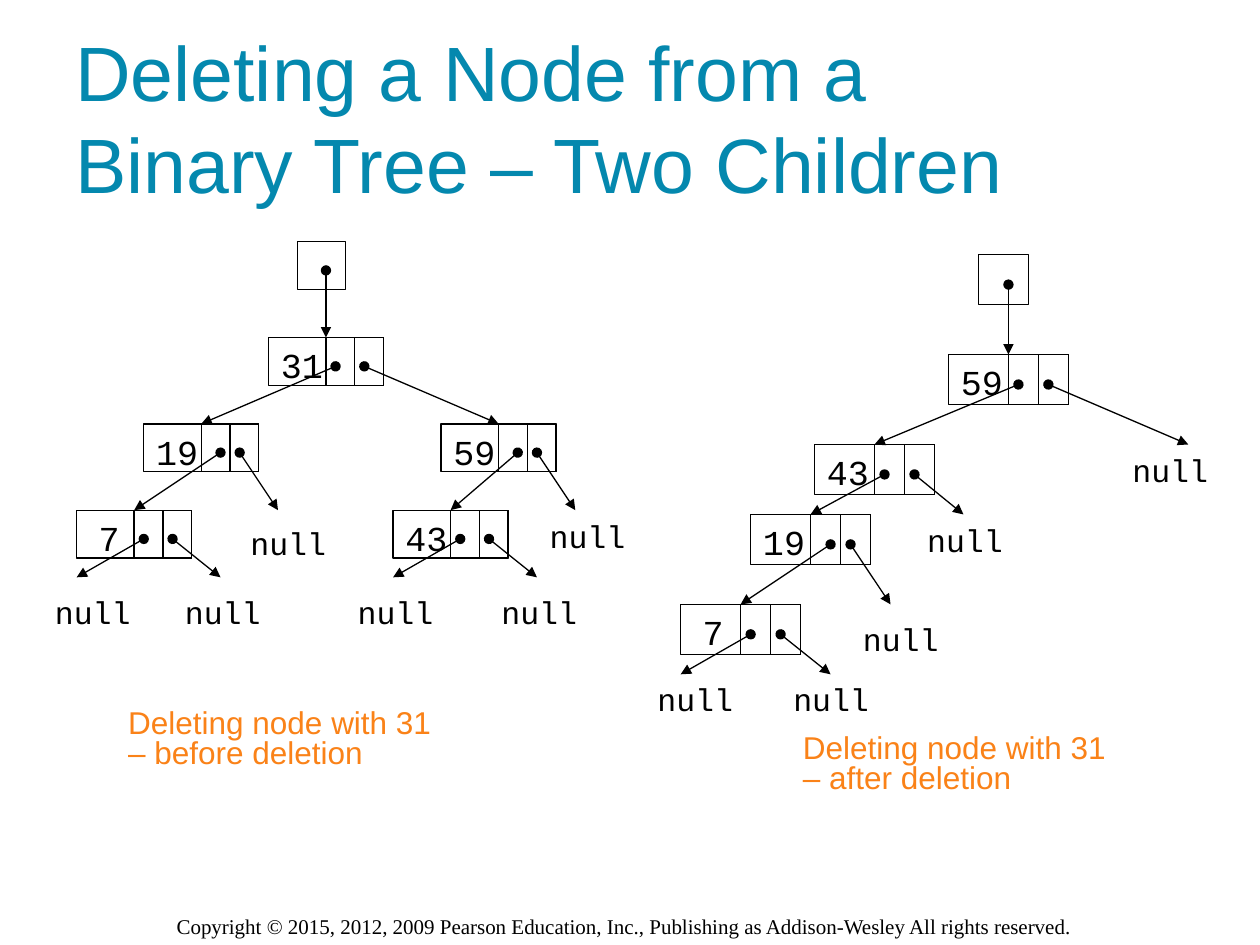
from dataclasses import dataclass

from lxml.etree import SubElement
from pptx import Presentation
from pptx.dml.color import RGBColor
from pptx.enum.shapes import MSO_CONNECTOR, MSO_SHAPE
from pptx.enum.text import MSO_ANCHOR, MSO_AUTO_SIZE
from pptx.oxml.ns import qn
from pptx.util import Pt


@dataclass(frozen=True)
class Theme:
    black: RGBColor = RGBColor(0, 0, 0)
    teal: RGBColor = RGBColor(0x04, 0x88, 0xAE)
    orange: RGBColor = RGBColor(0xFA, 0x82, 0x18)
    sans: str = "Arial"
    mono: str = "Courier New"
    serif: str = "Times New Roman"
    title_size: int = 44
    value_size: int = 20
    label_size: int = 18
    footer_size: int = 12
    line_width: float = 0.75


theme = Theme()


def add_text(shapes, text, left, top, width, height, font_name, size, color, wrap=True):
    box = shapes.add_textbox(Pt(left), Pt(top), Pt(width), Pt(height))
    box.text_frame.word_wrap = wrap
    box.text_frame.auto_size = MSO_AUTO_SIZE.SHAPE_TO_FIT_TEXT
    box.text_frame.text = text
    font = box.text_frame.paragraphs[0].font
    font.name, font.size, font.color.rgb = font_name, Pt(size), color
    return box


def add_pointer(shapes, start, end, target=None):
    """Draw an arrow with a dot at its start, joined to the top of the target if there is one."""
    arrow = shapes.add_connector(MSO_CONNECTOR.STRAIGHT, *(Pt(value) for value in start + end))
    if target is not None:
        arrow.end_connect(target, 0)
    arrow.line.color.rgb = theme.black
    arrow.line.width = Pt(theme.line_width)
    line = arrow.line._get_or_add_ln()
    SubElement(line, qn("a:headEnd"), type="oval")
    SubElement(line, qn("a:tailEnd"), type="triangle")
    SubElement(arrow._element.spPr, qn("a:effectLst"))


# Node positions and arrow ends are in grid units, measured from the top node.
# Each node: value -> (x, y, x of the left dot inside the node, left target, right target).
# A target is a child's value, or (end x, end y, label left, label top) for null,
# with the label placed in points.
trees = [
    dict(
        unit=5.48, left=153.4, top=192.9,
        nodes={
            "31": (0, 0, 7, "19", "59"),
            "19": (-13, 9, 8, "7", (1, 18, 136, 295.9)),
            "59": (18, 9, 8, "43", (32, 18, 307, 291.9)),
            "7": (-20, 18, 7, (-20, 25, 24.3, 335.5), (-5, 25, 98.6, 335.5)),
            "43": (13, 18, 7, (13, 25, 197.3, 335.5), (28, 25, 279.4, 335.5)),
        },
    ),
    dict(
        unit=5.71, left=542, top=202.6,
        nodes={
            "59": (0, 0, 7, "43", (24, 9, 640, 254.2)),
            "43": (-13.4, 9, 7, "19", (1.5, 16, 522.7, 294)),
            "19": (-19.8, 16, 8, "7", (-5.8, 25, 486, 350.6)),
            "7": (-26.8, 25, 7, (-26.8, 32, 368.6, 385.2), (-11.8, 32, 446.2, 385.2)),
        },
    ),
]

deck = Presentation()
deck.slide_width, deck.slide_height = Pt(720), Pt(540)
slide = deck.slides.add_slide(deck.slide_layouts[6])

add_text(
    slide.shapes,
    "Copyright © 2015, 2012, 2009 Pearson Education, Inc., "
    "Publishing as Addison-Wesley All rights reserved.",
    93.8, 518.4, 534.2, 21.6, theme.serif, theme.footer_size, theme.black,
)
title = add_text(
    slide.shapes, "Deleting a Node from a\vBinary Tree – Two Children",
    36, 21.6, 648, 90, theme.sans, theme.title_size, theme.teal,
)
title.text_frame.vertical_anchor = MSO_ANCHOR.MIDDLE
title.text_frame.auto_size = MSO_AUTO_SIZE.NONE

for tree in trees:
    shapes = slide.shapes.add_group_shape().shapes
    unit, origin_left, origin_top = tree["unit"], tree["left"], tree["top"]
    nodes = tree["nodes"]

    # Rectangles: the root pointer's box, then each node with its two pointer cells.
    cells = [("root", 3, -10, 5)]
    for value, (x, y, *_) in nodes.items():
        cells += [(value, x, y, 12), (None, x + 9, y, 3), (None, x + 6, y, 3)]
    rectangles = {}
    for name, x, y, width in cells:
        rectangle = shapes.add_shape(
            MSO_SHAPE.RECTANGLE, Pt(origin_left + x * unit), Pt(origin_top + y * unit),
            Pt(width * unit), Pt(5 * unit),
        )
        rectangle.shadow.inherit = False
        rectangle.fill.background()
        rectangle.line.color.rgb = theme.black
        rectangle.line.width = Pt(theme.line_width)
        rectangles[name] = rectangle

    top_node = next(iter(nodes))
    add_pointer(
        shapes, (origin_left + 6 * unit, origin_top - 7 * unit),
        (origin_left + 6 * unit, origin_top), rectangles[top_node],
    )
    for value, (x, y, left_dot, left_target, right_target) in nodes.items():
        node_left, node_top = origin_left + x * unit, origin_top + y * unit
        one_digit = len(value) == 1
        add_text(
            shapes, value, node_left + (5.4 if one_digit else 0), node_top,
            26.5 if one_digit else 38.6, 31.7,
            theme.mono, theme.value_size, theme.black, wrap=False,
        )
        for dot, target in ((left_dot, left_target), (10, right_target)):
            start = (node_left + dot * unit, node_top + 3 * unit)
            if isinstance(target, str):
                child_x, child_y = nodes[target][:2]
                end = (origin_left + (child_x + 6) * unit, origin_top + child_y * unit)
                add_pointer(shapes, start, end, rectangles[target])
            else:
                end_x, end_y, label_left, label_top = target
                add_pointer(shapes, start, (origin_left + end_x * unit, origin_top + end_y * unit))
                add_text(
                    shapes, "null", label_left, label_top, 57.8, 28.8,
                    theme.mono, theme.label_size, theme.black, wrap=False,
                )

for stage, left, top in (("before", 66.2, 402.2), ("after", 451.7, 416.5)):
    caption = add_text(
        slide.shapes, f"Deleting node with 31 – {stage} deletion",
        left, top, 199.4, 41.8, theme.sans, theme.label_size, theme.orange,
    )
    caption.text_frame.paragraphs[0].line_spacing = 0.8

deck.save("out.pptx")
